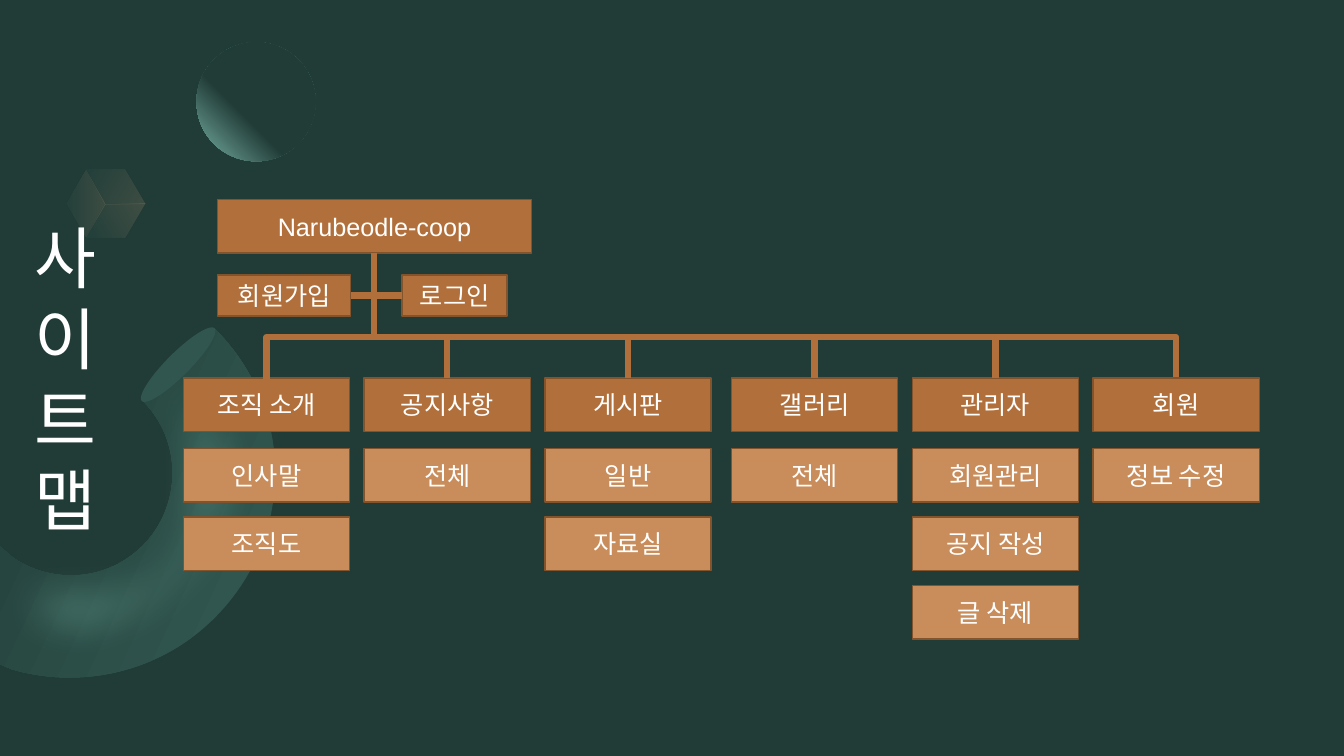
from dataclasses import dataclass
from math import cos, radians, sin

from lxml.etree import SubElement
from pptx import Presentation
from pptx.dml.color import RGBColor
from pptx.enum.shapes import MSO_CONNECTOR, MSO_SHAPE
from pptx.enum.text import MSO_ANCHOR, PP_ALIGN
from pptx.oxml.ns import qn
from pptx.util import Pt


@dataclass(frozen=True)
class Theme:
    """Colours, font and sizes of the slide."""
    ground: str = "213B36"
    ring: str = "30564F"
    mint: str = "79B4A9"
    sand: str = "D6A984"
    main: str = "B1703B"
    sub: str = "C98D5B"
    edge: str = "83532C"
    white: str = "FFFFFF"
    font: str = "Arial"
    title_size: float = 48
    label_size: float = 18
    link_width: float = 4.5


THEME = Theme()

SECTIONS = [
    ("조직 소개", "인사말", "조직도"),
    ("공지사항", "전체"),
    ("게시판", "일반", "자료실"),
    ("갤러리", "전체"),
    ("관리자", "회원관리", "공지 작성", "글 삭제"),
    ("회원", "정보 수정"),
]

# Pairs are straight segments, sixes are cubic curves.
RING = [(153.4, 0), (211, 56.9, 211, 149, 153.4, 206.6),
        (114.5, 245.5, 58.3, 257.8, 8.6, 243.4), (0, 239.8), (0, 155.5), (10.1, 164.2),
        (38.9, 182.9, 77, 180, 102.2, 154.8), (130.3, 126, 130.3, 79.9, 102.2, 51.8)]
GLOW = [(135.4, -19.4), (202.3, 47.5, 210.2, 147.6, 152.6, 204.5),
        (117.4, 240.5, 64.8, 250.6, 14.4, 236.9), (0, 232.6), (0, 150.5), (0.7, 151.2),
        (32.4, 169.2, 69.8, 167.8, 92.9, 144), (121, 115.9, 117.4, 65.5, 84.2, 32.4)]


def color(code):
    """Turn a hex code into a colour."""
    return RGBColor.from_string(code)


def write(shape, text, size=THEME.label_size, align=PP_ALIGN.CENTER, margin=None):
    """Put one formatted line of text into a shape."""
    frame = shape.text_frame
    frame.word_wrap = True
    frame.vertical_anchor = MSO_ANCHOR.MIDDLE
    if margin is not None:
        frame.margin_left = frame.margin_right = Pt(margin)
        frame.margin_top = frame.margin_bottom = Pt(margin)
    para = frame.paragraphs[0]
    para.alignment = align
    span = para.add_run()
    span.text = text
    span.font.name = THEME.font
    span.font.size = Pt(size)
    span.font.color.rgb = color(THEME.white)


def paint(shape, fill, line=None):
    """Give a shape a plain fill and an optional thin outline."""
    shape.shadow.inherit = False
    shape.fill.solid()
    shape.fill.fore_color.rgb = color(fill)
    if line:
        shape.line.color.rgb = color(line)
        shape.line.width = Pt(1)
    else:
        shape.line.fill.background()


def fade(shape, opacity):
    """Make every fill colour of a shape partly transparent."""
    for node in shape.fill._xPr.iter(qn("a:srgbClr")):
        SubElement(node, qn("a:alpha"), val=str(opacity * 1000))


def shade(shape, stops, angle=0):
    """Fill a shape with a two-stop gradient, angle clockwise."""
    paint(shape, stops[0][1])
    shape.fill.gradient()
    shape.fill.gradient_angle = -angle % 360
    for stop, (place, code) in zip(shape.fill.gradient_stops, stops):
        stop.position = place
        stop.color.rgb = color(code)


def add_preset(page, kind, left, top, width, height):
    """Add a preset shape measured in points."""
    return page.shapes.add_shape(kind, Pt(left), Pt(top), Pt(width), Pt(height))


def add_outline(page, origin, frame, turn, segments):
    """Add a closed outline in a turned frame; both are relative to origin."""
    left, top, width, height = frame
    angle = radians(-turn)

    def local(x, y):
        dx, dy = x - left - width / 2, y - top - height / 2
        return (Pt(width / 2 + dx * cos(angle) - dy * sin(angle)),
                Pt(height / 2 + dx * sin(angle) + dy * cos(angle)))

    pieces = [[local(*pair) for pair in zip(piece[::2], piece[1::2])] for piece in segments]
    builder = page.shapes.build_freeform(*pieces[0][0])
    builder.add_line_segments([piece[-1] for piece in pieces[1:]], close=True)
    shape = builder.convert_to_shape()
    shape.left, shape.top = Pt(origin[0] + left), Pt(origin[1] + top)
    shape.width, shape.height = Pt(width), Pt(height)
    shape.rotation = turn

    outline = next(shape.fill._xPr.iter(qn("a:path")))
    for node in list(outline):
        outline.remove(node)
    outline.set("w", str(Pt(width)))
    outline.set("h", str(Pt(height)))
    for index, piece in enumerate(pieces):
        tag = "a:moveTo" if index == 0 else "a:lnTo" if len(piece) == 1 else "a:cubicBezTo"
        node = SubElement(outline, qn(tag))
        for x, y in piece:
            SubElement(node, qn("a:pt"), x=str(x), y=str(y))
    SubElement(outline, qn("a:close"))
    return shape


def add_link(page, x1, y1, x2, y2, kind=MSO_CONNECTOR.STRAIGHT):
    """Draw one thick link and return its shape properties."""
    link = page.shapes.add_connector(kind, Pt(x1), Pt(y1), Pt(x2), Pt(y2))
    link.line.color.rgb = color(THEME.main)
    link.line.width = Pt(THEME.link_width)
    properties = link.line._ln.getparent()
    SubElement(properties, qn("a:effectLst"))
    return properties


def add_bracket(page, x1, x2, y, rise):
    """Draw an elbow link that rises from y, runs across and drops again."""
    middle, half = (x1 + x2) / 2, (x2 - x1) / 2
    properties = add_link(page, middle + 0.5, y + half, middle - 0.5, y - half,
                          MSO_CONNECTOR.ELBOW)
    properties.find(qn("a:xfrm")).set("rot", str(90 * 60000))
    guides = next(properties.iter(qn("a:avLst")))
    SubElement(guides, qn("a:gd"), name="adj1", fmla=f"val {round(rise * 100000)}")


def add_ring(page, box):
    """Draw the open ring with its soft glow and end cap."""
    left, top = box
    ring = add_outline(page, box, (-32.4, 77.1, 278.6, 146.2), 315, RING)
    shade(ring, [(0.31, THEME.ring), (0.97, THEME.ground)], 250)
    glow = add_outline(page, box, (-38.2, 52.6, 273.6, 170.6), 315, GLOW)
    paint(glow, THEME.mint)
    fade(glow, 40)
    effects = glow.fill._xPr.find(qn("a:effectLst"))
    SubElement(effects, qn("a:softEdge"), rad=str(Pt(28)))
    cap = add_preset(page, MSO_SHAPE.OVAL, left + 119, top - 11, 16.5, 73.5)
    cap.rotation = 45
    paint(cap, THEME.ring)


def add_sphere(page, box):
    """Draw the sphere lit from the lower left."""
    sphere = add_preset(page, MSO_SHAPE.OVAL, *box)
    shade(sphere, [(0.6, THEME.ground), (1, THEME.mint)])
    gradient = sphere.fill._xPr.find(qn("a:gradFill"))
    gradient.remove(gradient.find(qn("a:lin")))
    focus = SubElement(gradient, qn("a:path"), path="circle")
    SubElement(focus, qn("a:fillToRect"), l="100000", b="100000")


def add_cube(page, box):
    """Draw the three faint faces of the cube."""
    top_left, top_right, right = (13.7, 0), (41.8, 0), (56.2, 24.5)
    low_right, low_left, far_left, middle = (41.8, 49), (13.7, 49), (0, 24.5), (27.4, 25)
    faces = [((top_right, top_left, middle, right), (10.8, -1.5, 49, 28.8), 0),
             ((low_left, far_left, top_left, middle), (1.5, 3.6, 23.8, 42.5), 330),
             ((right, low_right, low_left, middle), (22.3, 15.8, 24.5, 42.5), 300)]
    for corners, frame, angle in faces:
        face = add_outline(page, box, frame, 30, corners)
        shade(face, [(0.2, THEME.ring), (1, THEME.sand)], angle)
        fade(face, 20)


def add_title(page, box):
    """Write the title in a column one character wide."""
    title = page.shapes.add_textbox(*map(Pt, box))
    write(title, "사이트맵", size=THEME.title_size, align=PP_ALIGN.LEFT, margin=0)


def add_node(page, text, fill, *box):
    """Draw one labelled box of the site map."""
    node = add_preset(page, MSO_SHAPE.RECTANGLE, *box)
    paint(node, fill, THEME.edge)
    write(node, text)


def add_sitemap(page, box):
    """Draw the root, account boxes, section columns and links."""
    left, top = box
    width, height, step = 118.8, 38.2, 129.1
    trunk, bus, row = left + 136, top + 98, top + 127.5
    add_node(page, "Narubeodle-coop", THEME.main, left + 24.5, top, 224, height)
    centers = []
    for index, labels in enumerate(SECTIONS):
        x = left + index * step + (4.2 if index >= 3 else 0)
        centers.append(x + width / 2)
        for level, label in enumerate(labels):
            y = row + level * 49 + (1.4 if level else 0)
            add_node(page, label, THEME.sub if level else THEME.main, x, y, width, height)

    add_link(page, trunk, top + height, trunk, bus)
    add_bracket(page, centers[0], centers[-1], row, row + 0.5 - bus)
    for center in centers[1:-1]:
        add_link(page, center, bus, center, row)

    account = top + 54
    for label, x, span, joint in [("로그인", 156.3, 75, 156.3), ("회원가입", 24.5, 95, 119.5)]:
        add_node(page, label, THEME.main, left + x, account, span, 29.2)
        add_link(page, trunk, account + 14.5, left + joint, account + 14.5)


deck = Presentation()
deck.slide_width, deck.slide_height = Pt(960), Pt(540)
page = deck.slides.add_slide(deck.slide_layouts[6])
page.background.fill.solid()
page.background.fill.fore_color.rgb = color(THEME.ground)
add_ring(page, (0, 234.7))
add_sphere(page, (140.4, 30.2, 85, 85))
add_cube(page, (47.5, 121))
add_title(page, (24.5, 51.8, 46.8, 436.3))
add_sitemap(page, (131, 142.5))
deck.save("out.pptx")
